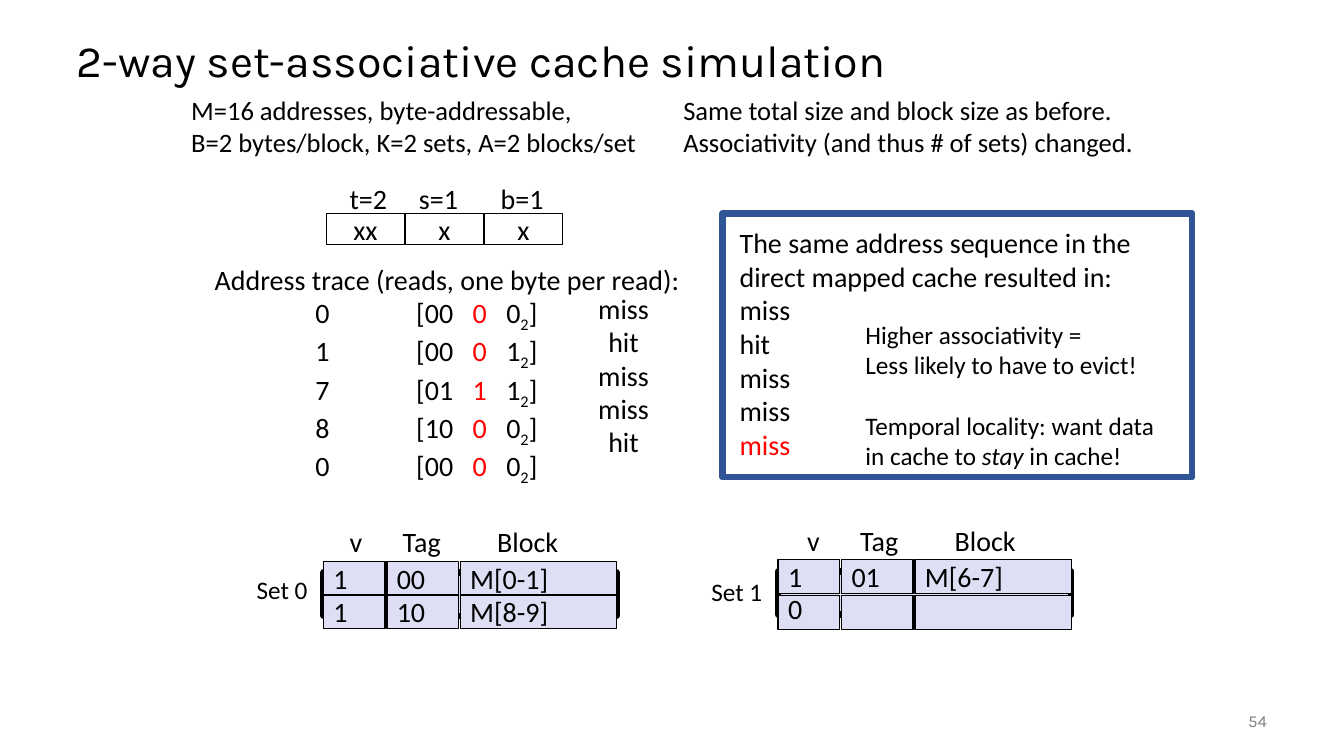
from lxml import etree
from pptx import Presentation
from pptx.dml.color import RGBColor
from pptx.enum.shapes import MSO_SHAPE
from pptx.enum.text import MSO_ANCHOR, PP_ALIGN
from pptx.oxml.ns import qn
from pptx.util import Cm, Pt

RECTANGLE = MSO_SHAPE.RECTANGLE
TOP, MIDDLE = MSO_ANCHOR.TOP, MSO_ANCHOR.MIDDLE
CENTER, RIGHT = PP_ALIGN.CENTER, PP_ALIGN.RIGHT

COLORS = {
    "black": "000000",
    "white": "FFFFFF",
    "red": "FF0000",
    "gray": "808080",
    "lavender": "DEDFF5",
    "blue": "2F5597",
}

TITLE = "2-way set-associative cache simulation"
PAGE_NUMBER = "54"
PARAMETERS = [
    (4.57, 12.14, ["M=16 addresses, byte-addressable,",
                   "B=2 bytes/block, K=2 sets, A=2 blocks/set"]),
    (16.97, 12.27, ["Same total size and block size as before.",
                    "Associativity (and thus # of sets) changed."]),
]
ADDRESS_FIELDS = [("t=2", 8.56, 1.47, "xx"), ("s=1", 10.31, 1.55, "x"), ("b=1", 12.37, 1.63, "x")]
TRACE_HEADING = "Address trace (reads, one byte per read):"
TRACE = [
    ("0", "00", "0", "0", "miss"),
    ("1", "00", "0", "1", "hit"),
    ("7", "01", "1", "1", "miss"),
    ("8", "10", "0", "0", "miss"),
    ("0", "00", "0", "0", "hit"),
]
TRACE_TABS = [2.54, 5.08, 6.5, 7.35]
RESULT_WIDTHS = {"miss": 1.83, "hit": 1.32}
DIRECT_MAPPED = [
    "The same address sequence in the\ndirect mapped cache resulted in:",
    "miss", "hit", "miss", "miss", [("miss", {"color": "red"})],
]
LESSON = [
    "Higher associativity =",
    "Less likely to have to evict!",
    [("Temporal locality: want data\nin cache to ", {}), ("stay", {"italic": True}), (" in cache!", {})],
]
LESSON_GAP = 21.97
HEADINGS = [("v", 0, 0.84), ("Tag", 1.34, 1.5), ("Block", 3.72, 2.11)]
COLUMNS = [(0, 1.55), (1.6, 1.8), (3.45, 3.94)]
CACHE_SETS = [
    {"name": "Set 0", "name_at": (6.22, 14.35), "left": 8.15, "frame_top": 14.43,
     "heading_at": (8.56, 13.08),
     "rows": [(14.15, ["1", "00", "M[0-1]"], 1), (14.99, ["1", "10", "M[8-9]"], 1)]},
    {"name": "Set 1", "name_at": (17.68, 14.4), "left": 19.61, "frame_top": 14.4,
     "heading_at": (20.09, 13.06),
     "rows": [(14.1, ["1", "01", "M[6-7]"], 1), (15.01, ["0", "", ""], 0.65)]},
]


def color(name):
    return RGBColor.from_string(COLORS[name])


def add_span(para, text, name, size, look):
    for index, line in enumerate(text.split("\n")):
        if index:
            para.add_line_break()
        span = para.add_run()
        span.text = line
        span.font.name = name
        span.font.size = Pt(size)
        span.font.italic = look.get("italic")
        span.font.color.rgb = color(look.get("color", "black"))
        if "baseline" in look:
            span.font._element.set("baseline", look["baseline"])


def add_tabs(para, stops):
    tab_list = etree.SubElement(para._p.get_or_add_pPr(), qn("a:tabLst"))
    for stop in stops:
        etree.SubElement(tab_list, qn("a:tab"), pos=str(Cm(stop)), algn="l")


def write(box, paras, name="Calibri", size=20, wrap=True, anchor=TOP, tabs=(), **layout):
    frame = box.text_frame
    frame.word_wrap = wrap
    frame.vertical_anchor = anchor
    for index, spans in enumerate(paras):
        para = frame.add_paragraph() if index else frame.paragraphs[0]
        if tabs and index:
            add_tabs(para, tabs)
        for key, value in layout.items():
            setattr(para, key, value)
        for text, look in [(spans, {})] if isinstance(spans, str) else spans:
            add_span(para, text, name, size, look)
    return frame


def add_text(page, at, paras, **style):
    return write(page.shapes.add_textbox(*map(Cm, at)), paras, **style)


def add_box(page, at, fill, line, width):
    box = page.shapes.add_shape(RECTANGLE, *map(Cm, at))
    box.shadow.inherit = False
    if fill:
        box.fill.solid()
        box.fill.fore_color.rgb = color(fill)
    else:
        box.fill.background()
    box.line.color.rgb = color(line)
    box.line.width = Pt(width)
    return box


def add_address_fields(page):
    for index, (label, left, width, bits) in enumerate(ADDRESS_FIELDS):
        field = add_box(page, (8.23 + 1.99 * index, 5.38, 1.96, 0.79), "white", "black", 1)
        write(field, [bits], wrap=False, anchor=MIDDLE, alignment=CENTER)
        add_text(page, (left, 4.45, width, 1.09), [label], wrap=False)


def add_trace(page):
    paras = [TRACE_HEADING]
    for index, (address, tag, set_bit, offset, result) in enumerate(TRACE):
        paras.append([
            (f"\t{address}\t[{tag}\t", {}), (f"{set_bit}\t", {"color": "red"}),
            (offset, {}), ("2", {"baseline": "-25000"}), ("]", {}),
        ])
        width = RESULT_WIDTHS[result]
        add_text(page, (15.74 - width / 2, 7.49 + 0.84 * index, width, 0.86), [result],
                 wrap=False, line_spacing=0.65)
    add_text(page, (5.16, 6.48, 12.7, 5.38), paras, tabs=TRACE_TABS)


def add_cache_set(page, cache):
    left = cache["left"]
    add_box(page, (left, cache["frame_top"], 7.39, 1.09), "lavender", "black", 4.5)
    heading_left, heading_top = cache["heading_at"]
    for heading, offset, width in HEADINGS:
        add_text(page, (heading_left + offset, heading_top, width, 1.09), [heading], wrap=False)
    for top, values, spacing in cache["rows"]:
        for (offset, width), value in zip(COLUMNS, values):
            cell = add_box(page, (left + offset, top, width, 0.85), "lavender", "black", 1)
            if value:
                write(cell, [value], wrap=False, anchor=MIDDLE,
                      alignment=PP_ALIGN.LEFT, line_spacing=spacing)
    add_text(page, (*cache["name_at"], 1.83, 1.02), [cache["name"]], size=18, wrap=False)


def main():
    deck = Presentation()
    deck.slide_width, deck.slide_height = Cm(33.87), Cm(19.05)
    page = deck.slides.add_slide(deck.slide_layouts[6])
    add_text(page, (1.68, 0.64, 30.48, 1.9), [TITLE], name="Karla", size=32,
             anchor=MIDDLE, line_spacing=0.9)
    for left, width, lines in PARAMETERS:
        add_text(page, (left, 2.24, width, 1.88), lines, size=19)
    add_address_fields(page)
    add_trace(page)
    for cache in CACHE_SETS:
        add_cache_set(page, cache)
    add_text(page, (18.39, 5.56, 11.46, 6.22), DIRECT_MAPPED)
    lesson = add_text(page, (21.56, 7.92, 8.05, 4.11), LESSON, size=18)
    lesson.paragraphs[-1].space_before = Pt(LESSON_GAP)
    add_box(page, (18.21, 5.38, 11.84, 6.65), None, "blue", 4.5)
    number = add_text(page, (29.64, 17.65, 2.54, 1.02), [[(PAGE_NUMBER, {"color": "gray"})]],
                      name="Karla", size=12, anchor=MIDDLE, alignment=RIGHT)
    deck.save("out.pptx")


if __name__ == "__main__":
    main()
